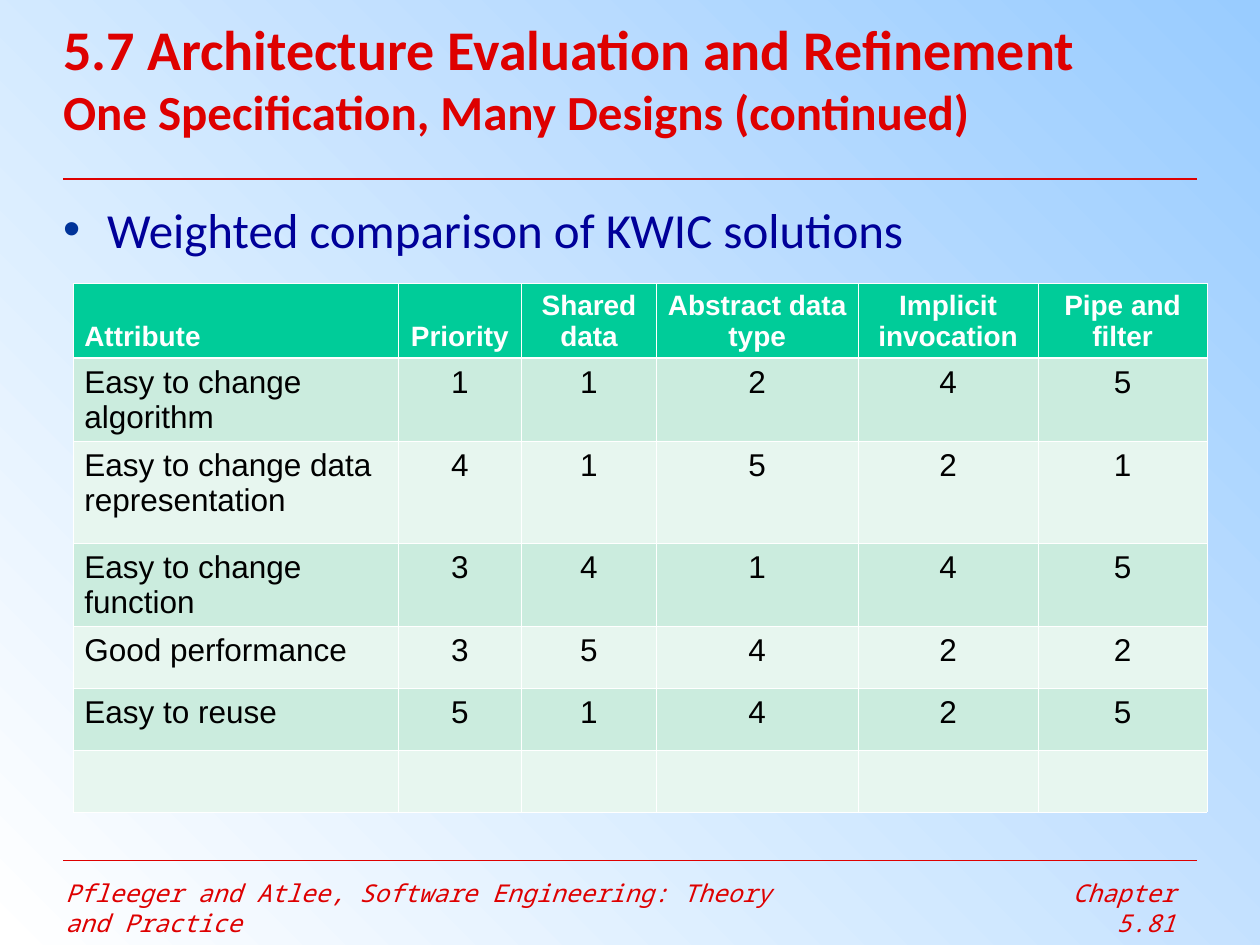
from lxml.etree import SubElement
from pptx import Presentation
from pptx.dml.color import RGBColor
from pptx.enum.shapes import MSO_CONNECTOR
from pptx.enum.text import MSO_ANCHOR, MSO_AUTO_SIZE, PP_ALIGN
from pptx.oxml.ns import qn
from pptx.util import Inches, Pt

COLORS = {
    "sky": "99CCFF", "white": "FFFFFF", "red": "DE0000", "navy": "000099",
    "bullet": "003399", "header": "00CC99", "band_dark": "CBECDE",
    "band_light": "E7F6EF", "black": "000000",
}


def rgb(name):
    return RGBColor.from_string(COLORS[name])


class SlideBuilder:
    heading_font = "Calibri"
    table_font = "Arial"
    footer_font = "Noto Sans Mono"

    def __init__(self, slide):
        self.slide = slide

    def background(self, start, end):
        fill = self.slide.background.fill
        fill.gradient()
        fill.gradient_angle = 225
        for stop, color, position in zip(fill.gradient_stops, (start, end), (0, 1)):
            stop.color.rgb = rgb(color)
            stop.position = position

    def run(self, paragraph, text, size, font, color, bold=False, italic=False):
        run = paragraph.add_run()
        run.text = text
        run.font.size = Pt(size)
        run.font.name = font
        run.font.color.rgb = rgb(color)
        run.font.bold = bold
        run.font.italic = italic

    def frame(self, shape, margins, anchor=MSO_ANCHOR.TOP):
        frame = shape.text_frame
        frame.word_wrap = True
        frame.auto_size = MSO_AUTO_SIZE.NONE
        frame.vertical_anchor = anchor
        frame.margin_left = frame.margin_right = Inches(margins[0])
        frame.margin_top = frame.margin_bottom = Inches(margins[1])
        return frame.paragraphs[0]

    def title(self, heading, subheading, left, top, width, height):
        title = self.slide.shapes.title
        title.left, title.top = Inches(left), Inches(top)
        title.width, title.height = Inches(width), Inches(height)
        paragraph = self.frame(title, (0, 0), MSO_ANCHOR.MIDDLE)
        paragraph.alignment = PP_ALIGN.LEFT
        self.run(paragraph, heading, 32, self.heading_font, "red", bold=True)
        paragraph.add_line_break()
        self.run(paragraph, subheading, 28, self.heading_font, "red", bold=True)

    def text_box(self, left, top, width, height, margins):
        box = self.slide.shapes.add_textbox(
            Inches(left), Inches(top), Inches(width), Inches(height))
        return self.frame(box, margins)

    def bullet(self, text, left, top, width, height):
        paragraph = self.text_box(left, top, width, height, (0, 0))
        properties = paragraph._p.get_or_add_pPr()
        properties.set("marL", str(Inches(0.35)))
        properties.set("indent", str(-Inches(0.35)))
        bullet_color = SubElement(properties, qn("a:buClr"))
        SubElement(bullet_color, qn("a:srgbClr"), val=COLORS["bullet"])
        SubElement(properties, qn("a:buFont"), typeface="Arial")
        SubElement(properties, qn("a:buChar"), char="•")
        self.run(paragraph, text, 28, self.heading_font, "navy")

    def footer(self, text, left, top, width, height, align):
        paragraph = self.text_box(left, top, width, height, (0.1, 0.05))
        paragraph.alignment = align
        self.run(paragraph, text, 14, self.footer_font, "red", italic=True)

    def rule(self, y, weight):
        rule = self.slide.shapes.add_connector(
            MSO_CONNECTOR.STRAIGHT, Inches(0.5), Inches(y), Inches(9.5), Inches(y))
        rule.line.color.rgb = rgb("red")
        rule.line.width = Pt(weight)
        SubElement(rule._element.spPr, qn("a:effectLst"))

    def cell_borders(self, cell, top, bottom):
        properties = cell._tc.get_or_add_tcPr()
        for side, weight in (("L", 0.45), ("R", 0.45), ("T", top), ("B", bottom)):
            line = SubElement(properties, qn(f"a:ln{side}"), w=str(Pt(weight)))
            fill = SubElement(line, qn("a:solidFill"))
            SubElement(fill, qn("a:srgbClr"), val=COLORS["white"])

    def cell(self, cell, text, row, column):
        is_header = row == 0
        self.cell_borders(cell, 1.47 if row == 1 else 0.45, 1.47 if is_header else 0.45)
        band = "band_dark" if row % 2 else "band_light"
        cell.fill.solid()
        cell.fill.fore_color.rgb = rgb("header" if is_header else band)
        cell.margin_left = cell.margin_right = Inches(0.09)
        cell.margin_top = cell.margin_bottom = Inches(0.05)
        cell.vertical_anchor = MSO_ANCHOR.BOTTOM if is_header else MSO_ANCHOR.TOP
        paragraph = cell.text_frame.paragraphs[0]
        paragraph.alignment = PP_ALIGN.CENTER if column else PP_ALIGN.LEFT
        if text:
            self.run(paragraph, text, 16 if is_header else 18, self.table_font,
                     "white" if is_header else "black", bold=is_header)

    def table(self, rows, left, top, widths, heights):
        table = self.slide.shapes.add_table(
            len(heights), len(widths), Inches(left), Inches(top),
            Inches(sum(widths)), Inches(sum(heights))).table
        for column, width in zip(table.columns, widths):
            column.width = Inches(width)
        for table_row, height in zip(table.rows, heights):
            table_row.height = Inches(height)
        for r, texts in enumerate(rows):
            for c, text in enumerate(texts):
                self.cell(table.cell(r, c), text, r, c)


def main():
    deck = Presentation()
    deck.slide_width, deck.slide_height = Inches(10), Inches(7.5)
    builder = SlideBuilder(deck.slides.add_slide(deck.slide_layouts[5]))
    builder.background("sky", "white")

    # Footer and rules
    builder.footer("Pfleeger and Atlee, Software Engineering: Theory and Practice",
                   0.42, 6.92, 6, 0.34, PP_ALIGN.LEFT)
    builder.rule(6.83, 0.75)
    builder.rule(1.42, 1.5)
    builder.footer("Chapter 5.81", 7.83, 6.92, 1.6, 0.37, PP_ALIGN.RIGHT)

    # Title and lead bullet
    builder.title("5.7 Architecture Evaluation and Refinement",
                  "One Specification, Many Designs (continued)", 0.5, 0, 9.33, 1.23)
    builder.bullet("Weighted comparison of KWIC solutions", 0.5, 1.58, 8.98, 0.6)

    # Comparison table, with an empty last row
    comparison = [
        ("Attribute", "Priority", "Shared data", "Abstract data type",
         "Implicit invocation", "Pipe and filter"),
        ("Easy to change algorithm", "1", "1", "2", "4", "5"),
        ("Easy to change data representation", "4", "1", "5", "2", "1"),
        ("Easy to change function", "3", "4", "1", "4", "5"),
        ("Good performance", "3", "5", "4", "2", "2"),
        ("Easy to reuse", "5", "1", "4", "2", "5"),
        ("",) * 6,
    ]
    builder.table(comparison, 0.58, 2.25,
                  widths=[2.58, 0.98, 1.07, 1.6, 1.43, 1.34],
                  heights=[0.59, 0.66, 0.81, 0.66, 0.49, 0.49, 0.49])

    deck.save("out.pptx")


if __name__ == "__main__":
    main()
